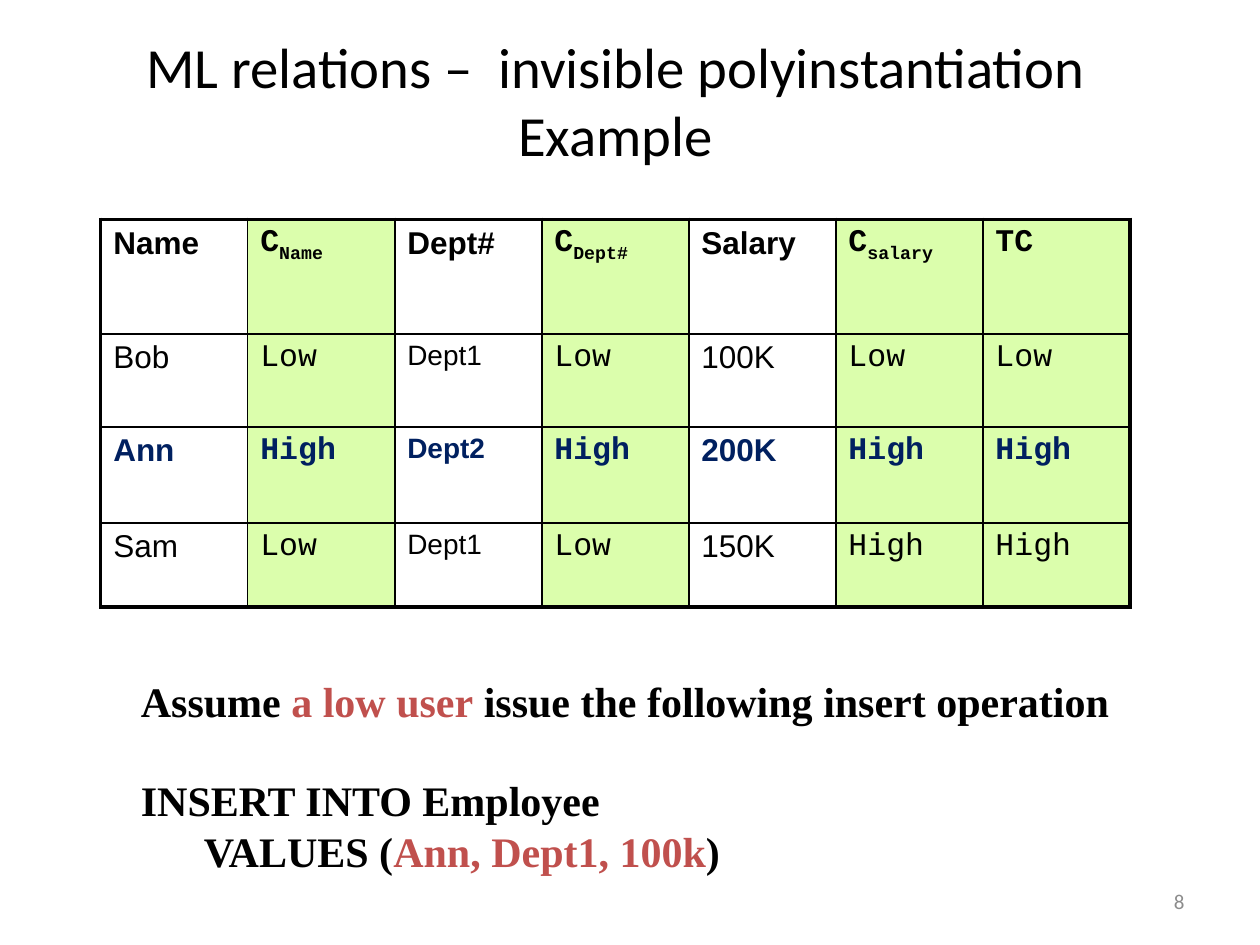
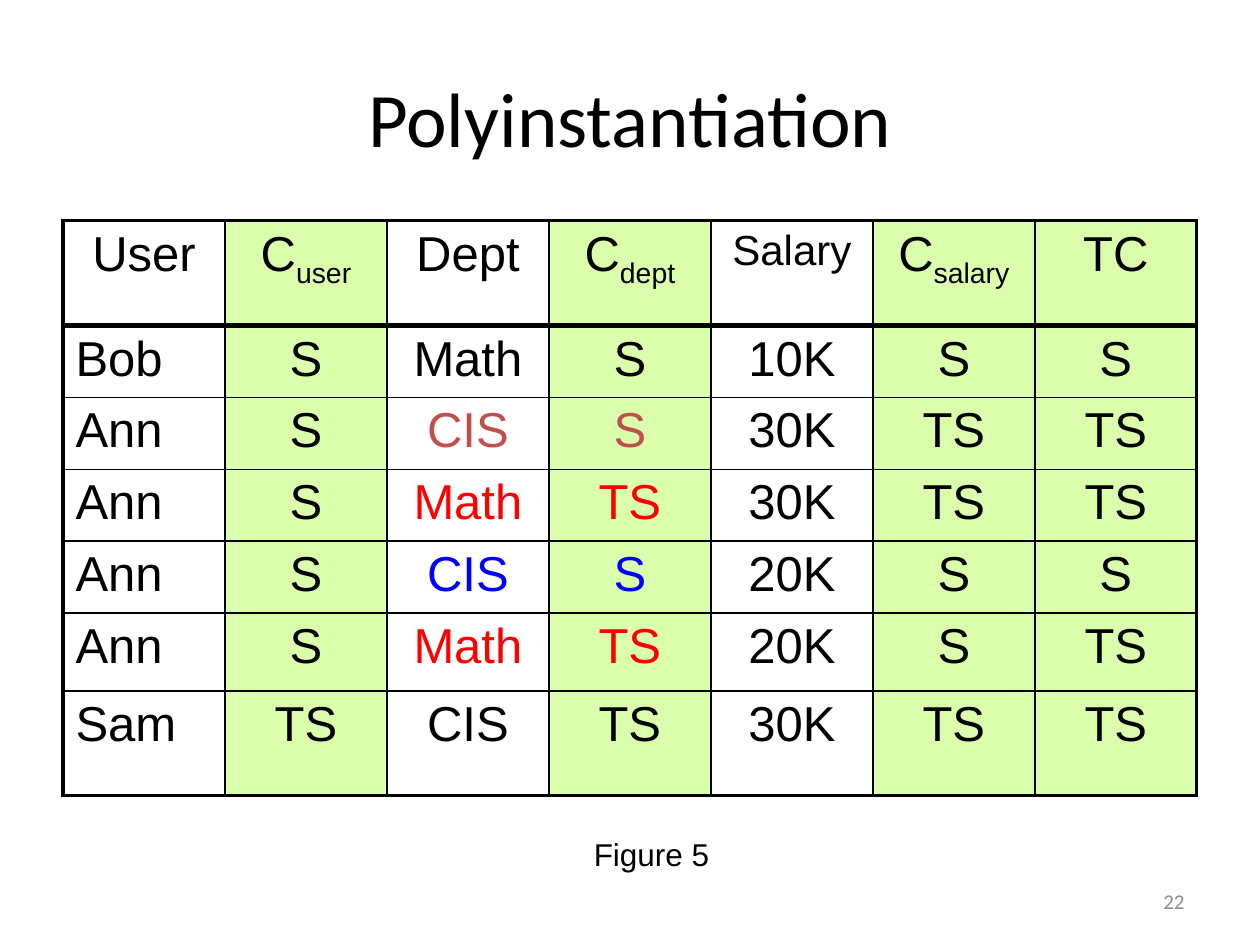
from dataclasses import dataclass, replace
from typing import Callable

from lxml.etree import SubElement
from pptx import Presentation
from pptx.dml.color import RGBColor
from pptx.enum.text import MSO_ANCHOR, MSO_AUTO_SIZE, PP_ALIGN
from pptx.oxml.ns import qn
from pptx.util import Cm, Pt

COLORS = {
    "ink": "000000",
    "label": "DBFEAC",
    "accent": "C0504D",
    "navy": "002060",
    "red": "FF0000",
    "blue": "0000FF",
    "number": "8C8C8C",
}
LABEL_COLUMNS = {1, 3, 5, 6}
OUTER, INNER, HEADER_RULE = 2.25, 1, 3


@dataclass(frozen=True)
class TextStyle:
    font: str
    size: float
    color: str = "ink"
    bold: bool = False
    align: PP_ALIGN = PP_ALIGN.LEFT


@dataclass(frozen=True)
class Box:
    left: float
    top: float
    width: float
    height: float

    def lengths(self) -> tuple:
        return Cm(self.left), Cm(self.top), Cm(self.width), Cm(self.height)


@dataclass(frozen=True)
class Relation:
    """A multilevel relation; a header such as C_Name has a subscript."""
    left: float
    top: float
    width: float
    row_heights: tuple
    rows: list
    style_of: Callable[[int, int], TextStyle]
    header_rule: float = INNER


TITLE = TextStyle("Calibri", 44, align=PP_ALIGN.CENTER)
NUMBER = TextStyle("Calibri", 12, "number", align=PP_ALIGN.RIGHT)
CAPTION = TextStyle("Arial", 18, align=PP_ALIGN.CENTER)
STATEMENT = TextStyle("Times New Roman", 24, bold=True)
NUMBER_BOX = Box(18.21, 17.65, 5.92, 1.02)


def rgb(name: str) -> RGBColor:
    return RGBColor.from_string(COLORS[name])


def apply_style(paragraph, style: TextStyle) -> None:
    paragraph.alignment = style.align
    font = paragraph.font
    font.name, font.size, font.bold = style.font, Pt(style.size), style.bold
    font.color.rgb = rgb(style.color)


def add_title_slide(deck, title: str, box: Box, size: float, number: str):
    slide = deck.slides.add_slide(deck.slide_layouts[5])
    heading = slide.shapes.title
    heading.left, heading.top, heading.width, heading.height = box.lengths()
    frame = heading.text_frame
    frame.text = title
    frame.auto_size = MSO_AUTO_SIZE.NONE
    frame.vertical_anchor = MSO_ANCHOR.MIDDLE
    apply_style(frame.paragraphs[0], replace(TITLE, size=size))
    add_text(slide, NUMBER_BOX, number, NUMBER, MSO_ANCHOR.MIDDLE)
    return slide


def add_frame(slide, box: Box, anchor: MSO_ANCHOR = MSO_ANCHOR.TOP):
    frame = slide.shapes.add_textbox(*box.lengths()).text_frame
    frame.word_wrap = True
    frame.vertical_anchor = anchor
    return frame


def add_text(slide, box: Box, text: str, style: TextStyle,
             anchor: MSO_ANCHOR = MSO_ANCHOR.TOP) -> None:
    frame = add_frame(slide, box, anchor)
    frame.text = text
    apply_style(frame.paragraphs[0], style)


def set_borders(cell, widths: dict) -> None:
    properties = cell._tc.get_or_add_tcPr()
    for side, width in widths.items():
        line = SubElement(properties, qn(f"a:ln{side}"), w=str(Pt(width)))
        fill = SubElement(line, qn("a:solidFill"))
        SubElement(fill, qn("a:srgbClr"), val=COLORS["ink"])


def fill_cell(cell, text: str, style: TextStyle) -> None:
    paragraph = cell.text_frame.paragraphs[0]
    apply_style(paragraph, style)
    base, _, subscript = text.partition("_")
    paragraph.add_run().text = base
    if subscript:
        run = paragraph.add_run()
        run.text = subscript
        run._r.get_or_add_rPr().set("baseline", "-25000")


def add_relation(slide, relation: Relation) -> None:
    row_count, column_count = len(relation.rows), len(relation.rows[0])
    box = Box(relation.left, relation.top, relation.width, sum(relation.row_heights))
    table = slide.shapes.add_table(row_count, column_count, *box.lengths()).table
    table.first_row = table.horz_banding = False
    for column in table.columns:
        column.width = Cm(relation.width / column_count)
    row_rules = [OUTER, relation.header_rule] + [INNER] * (row_count - 2) + [OUTER]
    column_rules = [OUTER] + [INNER] * (column_count - 1) + [OUTER]
    for r, (height, values) in enumerate(zip(relation.row_heights, relation.rows)):
        table.rows[r].height = Cm(height)
        for c, value in enumerate(values):
            cell = table.cell(r, c)
            set_borders(cell, {"L": column_rules[c], "R": column_rules[c + 1],
                               "T": row_rules[r], "B": row_rules[r + 1]})
            if c in LABEL_COLUMNS:
                cell.fill.solid()
                cell.fill.fore_color.rgb = rgb("label")
            else:
                cell.fill.background()
            fill_cell(cell, value, relation.style_of(r, c))


def employee_style(row: int, column: int) -> TextStyle:
    return TextStyle(
        font="Courier New" if column in LABEL_COLUMNS else "Arial",
        size=16 if column == 2 and row > 0 else 18,
        color="navy" if row == 2 else "ink",
        bold=row in (0, 2),
    )


def user_style(row: int, column: int) -> TextStyle:
    dept_colors = {2: "accent", 3: "red", 4: "blue", 5: "red"}
    return TextStyle(
        font="Arial",
        size=24 if (row, column) == (0, 4) else 28,
        color=dept_colors.get(row, "ink") if column in (2, 3) else "ink",
        align=PP_ALIGN.LEFT if column == 0 and row > 0 else PP_ALIGN.CENTER,
    )


EMPLOYEES = Relation(2.03, 4.42, 20.75, (2.31, 1.88, 1.93, 1.7), [
    ["Name", "C_Name", "Dept#", "C_Dept#", "Salary", "C_salary", "TC"],
    ["Bob", "Low", "Dept1", "Low", "100K", "Low", "Low"],
    ["Ann", "High", "Dept2", "High", "200K", "High", "High"],
    ["Sam", "Low", "Dept1", "Low", "150K", "High", "High"],
], employee_style)

USERS = Relation(1.27, 4.45, 22.86, (2.11, 1.45, 1.45, 1.45, 1.45, 1.57, 2.11), [
    ["User", "C_user", "Dept", "C_dept", "Salary", "C_salary", "TC"],
    ["Bob", "S", "Math", "S", "10K", "S", "S"],
    ["Ann", "S", "CIS", "S", "30K", "TS", "TS"],
    ["Ann", "S", "Math", "TS", "30K", "TS", "TS"],
    ["Ann", "S", "CIS", "S", "20K", "S", "S"],
    ["Ann", "S", "Math", "TS", "20K", "S", "TS"],
    ["Sam", "TS", "CIS", "TS", "30K", "TS", "TS"],
], user_style, HEADER_RULE)

# Each line: plain text, accented text, plain text
INSERT_LINES = [
    ("Assume ", "a low user", " issue the following insert operation"),
    ("INSERT INTO Employee", "", ""),
    ("VALUES (", "Ann, Dept1, 100k", ")"),
]


def add_insert_statement(slide) -> None:
    frame = add_frame(slide, Box(2.59, 13.49, 20.52, 4.32))
    for index, parts in enumerate(INSERT_LINES):
        paragraph = frame.add_paragraph() if index else frame.paragraphs[0]
        apply_style(paragraph, STATEMENT)
        for position, part in enumerate(parts):
            if part:
                run = paragraph.add_run()
                run.text = part
                if position == 1:
                    run.font.color.rgb = rgb("accent")
    _, insert, values = frame.paragraphs
    insert.space_before = Pt(28)
    values._p.get_or_add_pPr().set("marL", str(Cm(1.27)))


def main() -> None:
    deck = Presentation()
    deck.slide_width, deck.slide_height = Cm(25.4), Cm(19.05)

    invisible = add_title_slide(
        deck, "ML relations –  invisible polyinstantiation\vExample",
        Box(0.69, 0.84, 23.44, 2.34), 32.4, "8")
    add_relation(invisible, EMPLOYEES)
    add_insert_statement(invisible)

    polyinstantiation = add_title_slide(
        deck, "Polyinstantiation", Box(1.27, 0.76, 22.86, 3.18), 44, "22")
    add_relation(polyinstantiation, USERS)
    add_text(polyinstantiation, Box(9.96, 16.71, 6.35, 1.02), "Figure 5", CAPTION)

    deck.save("out.pptx")


if __name__ == "__main__":
    main()
